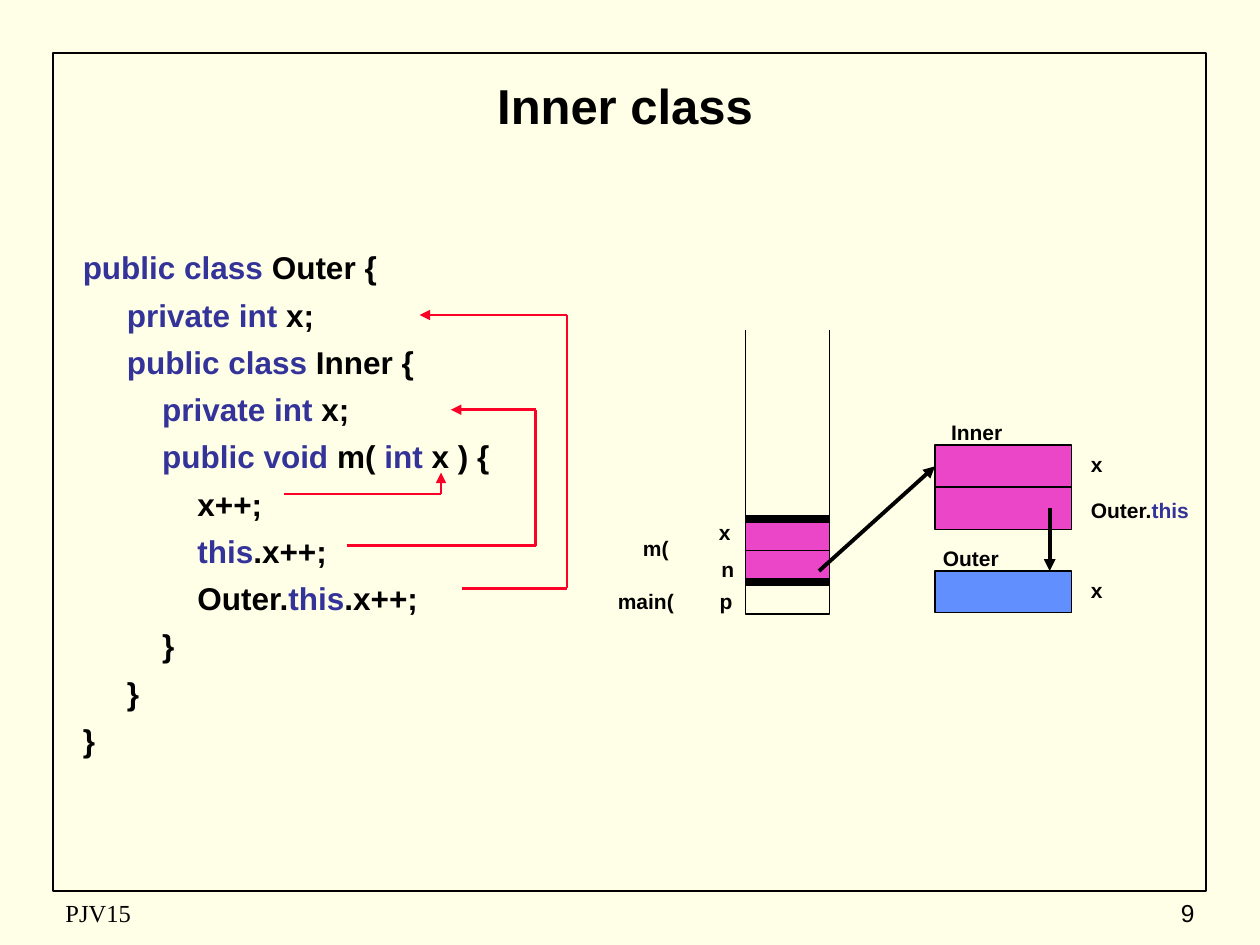
from lxml import etree
from pptx import Presentation
from pptx.dml.color import RGBColor
from pptx.enum.shapes import MSO_CONNECTOR, MSO_SHAPE
from pptx.enum.text import MSO_ANCHOR, MSO_AUTO_SIZE, PP_ALIGN
from pptx.oxml.ns import qn
from pptx.util import Cm, Pt

RECTANGLE = MSO_SHAPE.RECTANGLE
STRAIGHT = MSO_CONNECTOR.STRAIGHT
TOP, MIDDLE = MSO_ANCHOR.TOP, MSO_ANCHOR.MIDDLE
LEFT, CENTER, RIGHT = PP_ALIGN.LEFT, PP_ALIGN.CENTER, PP_ALIGN.RIGHT
JUSTIFY = PP_ALIGN.JUSTIFY
LEFT_SIDE, RIGHT_SIDE = 1, 3

CREAM = RGBColor(0xFF, 0xFF, 0xE7)
BLACK = RGBColor(0, 0, 0)
KEYWORD = RGBColor(0x33, 0x33, 0x99)
PINK = RGBColor(0xEC, 0x46, 0xC8)
BLUE = RGBColor(0x61, 0x8F, 0xFD)
RED = RGBColor(0xFC, 0x01, 0x28)

# Nesting depth and code; keywords stand between asterisks.
CODE = [
    (0, "*public class* Outer {"),
    (1, "*private int* x;"),
    (1, "*public class* Inner {"),
    (2, "*private int* x;"),
    (2, "*public void* m( *int* x ) {"),
    (3, "x++;"),
    (3, "*this*.x++;"),
    (3, "Outer.*this*.x++;"),
    (2, "}"),
    (1, "}"),
    (0, "}"),
]
CODE_INDENTS = (0.15, 1.04, 1.75, 2.46)

# Text, left, top, width, indent
LABELS = [
    ("main(", 12.07, 11.73, 1.9, 0),
    ("m(", 12.27, 10.67, 1.9, 0),
    ("p", 13.34, 11.73, 1.9, 0.69),
    ("n", 13.54, 11.1, 1.9, 0.36),
    ("x", 13.54, 10.34, 1.9, 0.24),
    ("Outer", 18.62, 10.87, 1.9, 0),
    ("Inner", 18.42, 8.33, 2.54, 0),
    ("x", 21.16, 11.51, 1.9, 0),
    ("Outer.*this*", 21.39, 9.91, 3.18, 0),
    ("x", 21.16, 8.97, 1.9, 0),
]


def write(frame, lines, size=12, font="Arial", bold=True, align=CENTER,
          anchor=TOP, space_before=0):
    """Fill a frame with (indent, text) lines, colouring *keywords*."""
    frame.word_wrap = True
    frame.auto_size = MSO_AUTO_SIZE.NONE
    frame.vertical_anchor = anchor
    for number, (indent, text) in enumerate(lines):
        paragraph = frame.add_paragraph() if number else frame.paragraphs[0]
        paragraph.alignment = align
        paragraph.space_before = Pt(space_before)
        paragraph._p.get_or_add_pPr().set("marL", str(Cm(indent)))
        for part, words in enumerate(text.split("*")):
            if words:
                run = paragraph.add_run()
                run.text = words
                run.font.size = Pt(size)
                run.font.name = font
                run.font.bold = bold
                run.font.color.rgb = KEYWORD if part % 2 else BLACK


class Diagram:
    def __init__(self, slide, line_color=BLACK, line_width=0.75):
        self.slide = slide
        self.line_color = line_color
        self.line_width = line_width

    def title(self, text, left, top, width, height):
        title = self.slide.shapes.title
        title.left, title.top = Cm(left), Cm(top)
        title.width, title.height = Cm(width), Cm(height)
        write(title.text_frame, [(0, text)], size=28, anchor=MIDDLE)

    def text(self, lines, left, top, width, height, **style):
        box = self.slide.shapes.add_textbox(
            Cm(left), Cm(top), Cm(width), Cm(height))
        write(box.text_frame, lines, **style)

    def box(self, left, top, width, height, fill=None, line_width=None):
        box = self.slide.shapes.add_shape(
            RECTANGLE, Cm(left), Cm(top), Cm(width), Cm(height))
        box.shadow.inherit = False
        if fill is None:
            box.fill.background()
        else:
            box.fill.solid()
            box.fill.fore_color.rgb = fill
        box.line.color.rgb = self.line_color
        box.line.width = Pt(line_width or self.line_width)
        return box

    def line(self, start, end, color=None, width=None, arrow=False):
        line = self.slide.shapes.add_connector(
            STRAIGHT, *(Cm(value) for value in (*start, *end)))
        line.line.color.rgb = color or self.line_color
        line.line.width = Pt(width or self.line_width)
        properties = line._element.spPr
        if arrow:
            outline = properties.find(qn("a:ln"))
            etree.SubElement(outline, qn("a:tailEnd"), type="triangle")
        etree.SubElement(properties, qn("a:effectLst"))
        return line

    def divider(self, box, width=None):
        """Draw a line across the middle of a box, joined to its sides."""
        line = self.line((0, 0), (1, 1), width=width)
        line.begin_connect(box, LEFT_SIDE)
        line.end_connect(box, RIGHT_SIDE)

    def route(self, *points, last_width=1.5):
        """Draw a red path whose last leg carries the arrowhead."""
        legs = list(zip(points, points[1:]))
        for start, end in legs[:-1]:
            self.line(start, end, color=RED, width=1.5)
        self.line(*legs[-1], color=RED, width=last_width, arrow=True)


def draw_stack(diagram):
    left, width, slot = 15.03, 1.69, 0.64
    right, open_top, frame_top = left + width, 6.65, 10.46
    bottom = frame_top + 3 * slot
    method_frame = diagram.box(left, frame_top, width, 2 * slot, fill=PINK)
    lower_slots = diagram.box(left, frame_top + slot, width, 2 * slot)
    for side in (left, right):
        diagram.line((side, open_top), (side, bottom))
    diagram.line((left, bottom), (right, bottom))
    diagram.divider(lower_slots, width=4.5)
    diagram.divider(method_frame, width=1)
    diagram.line((left, frame_top), (right, frame_top), width=4.5)


def draw_heap(diagram):
    left, width = 18.85, 2.75
    inner = diagram.box(left, 8.97, width, 1.7, fill=PINK)
    diagram.box(left, 11.51, width, 0.84, fill=BLUE)
    diagram.divider(inner)
    diagram.line((16.51, 11.51), (left, 9.4), width=2.25, arrow=True)
    diagram.line((21.16, 10.24), (21.16, 11.51), width=2.25, arrow=True)


def main():
    deck = Presentation()
    deck.slide_width, deck.slide_height = Cm(25.4), Cm(19.05)
    slide = deck.slides.add_slide(deck.slide_layouts[5])
    slide.background.fill.solid()
    slide.background.fill.fore_color.rgb = CREAM

    diagram = Diagram(slide)
    diagram.box(1.07, 1.07, 23.24, 16.89, line_width=1)
    diagram.title("Inner class", 1.27, 1.27, 22.66, 1.7)
    diagram.text([(CODE_INDENTS[depth], code) for depth, code in CODE],
                 1.27, 4.88, 10.36, 11.43,
                 size=18, align=JUSTIFY, space_before=5.4)
    draw_stack(diagram)
    draw_heap(diagram)
    for text, left, top, width, indent in LABELS:
        diagram.text([(indent, text)], left, top, width, 0.76)

    diagram.route((5.72, 9.96), (8.89, 9.96), (8.89, 9.53), last_width=0.75)
    diagram.route((6.99, 11), (10.8, 11), (10.8, 8.26), (9.09, 8.26))
    diagram.route((9.31, 11.86), (11.43, 11.86), (11.43, 6.35), (8.46, 6.35))

    footer = dict(size=14, bold=False, anchor=MIDDLE)
    diagram.text([(0, "PJV15")], 1.07, 17.98, 8.05, 0.84,
                 font="Times New Roman", align=LEFT, **footer)
    diagram.text([(0, "9")], 19.05, 17.98, 5.28, 0.84, align=RIGHT, **footer)
    deck.save("out.pptx")


if __name__ == "__main__":
    main()
